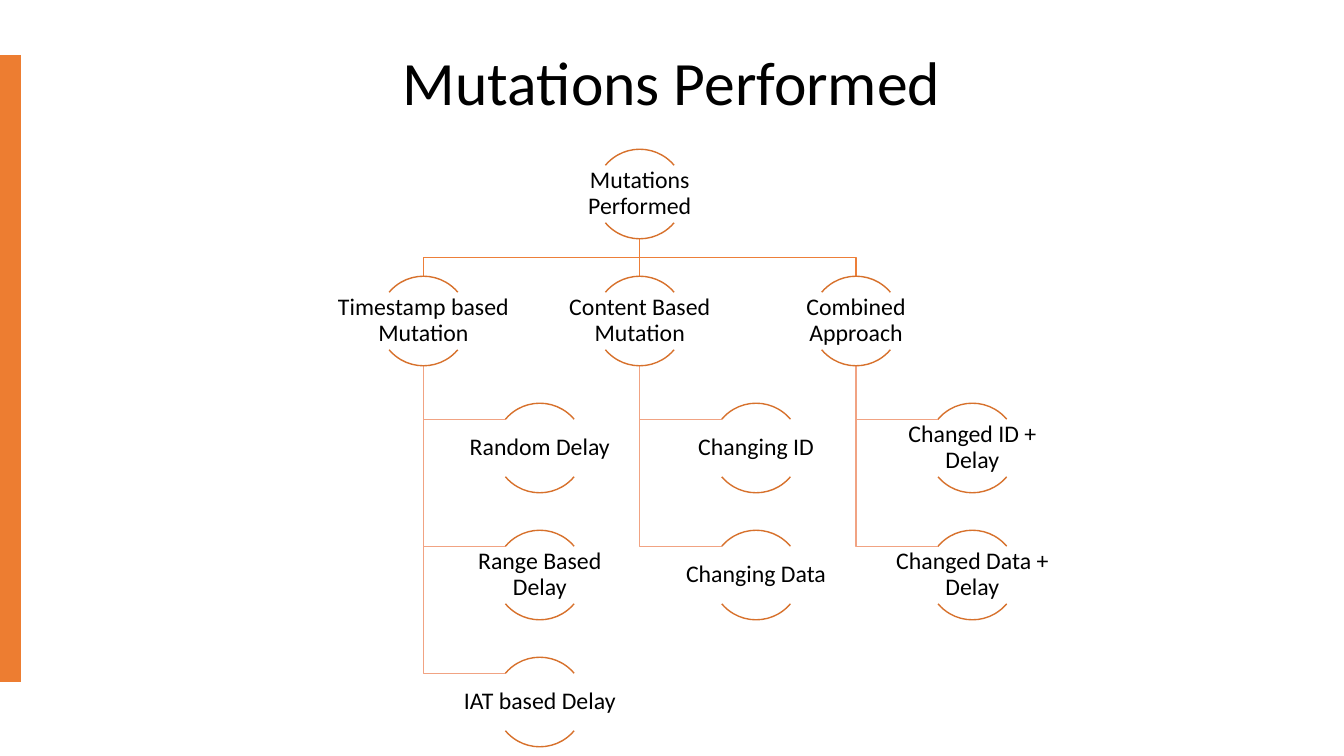
from lxml.etree import SubElement
from pptx import Presentation
from pptx.dml.color import RGBColor as Color
from pptx.enum.shapes import MSO_CONNECTOR as Connector, MSO_SHAPE as Shape
from pptx.enum.text import MSO_ANCHOR as Anchor, PP_ALIGN as Align
from pptx.oxml.ns import qn
from pptx.util import Pt

COLORS = {"bar": "ED7D31", "text": "000000", "arc": "D7712C", "trunk": "ED7F39", "branch": "F1A383"}
FONT = "Calibri"
DIAMETER = 64
LEVEL_TOP, LEVEL_STEP = 106.6, 90.72
COLUMN_LEFT, COLUMN_STEP = 302.5, 154.5
CHILD_SHIFT, BRANCH_LENGTH = 83.1, 58.9
LABEL_WIDTH, LABEL_HEIGHT, LABEL_DROP = 127.4, 41, 11.5

ROOT = "Mutations Performed"
GROUPS = [
    ("Timestamp based Mutation", ["Random Delay", "Range Based Delay", "IAT based Delay"]),
    ("Content Based Mutation", ["Changing ID", "Changing Data"]),
    ("Combined Approach", ["Changed ID + Delay", "Changed Data + Delay"]),
]


class Painter:
    """Draws styled elements on the current slide, with lengths in points."""

    def __init__(self, page):
        self.shapes = page.shapes

    def color(self, name):
        return Color.from_string(COLORS[name])

    def outline(self, shape, name):
        shape.line.color.rgb = self.color(name)
        shape.line.width = Pt(1)

    def bar(self, left, top, width, height):
        bar = self.shapes.add_shape(Shape.RECTANGLE, Pt(left), Pt(top), Pt(width), Pt(height))
        bar.shadow.inherit = False
        bar.fill.solid()
        bar.fill.fore_color.rgb = self.color("bar")
        bar.line.fill.background()

    def text(self, words, left, top, width, height, size, inset):
        box = self.shapes.add_textbox(Pt(left), Pt(top), Pt(width), Pt(height))
        frame = box.text_frame
        frame.word_wrap = True
        frame.vertical_anchor = Anchor.MIDDLE
        frame.margin_left = frame.margin_right = Pt(inset)
        frame.margin_top = frame.margin_bottom = Pt(inset)
        para = frame.paragraphs[0]
        para.alignment = Align.CENTER
        para.line_spacing = 0.9
        span = para.add_run()
        span.text = words
        span.font.name = FONT
        span.font.size = Pt(size)
        span.font.color.rgb = self.color("text")

    def line(self, start, end, name):
        line = self.shapes.add_connector(Connector.STRAIGHT, *map(Pt, start + end))
        self.outline(line, name)
        SubElement(line._element.spPr, qn("a:effectLst"))

    def elbow(self, points, name):
        start, *rest = [(Pt(x), Pt(y)) for x, y in points]
        builder = self.shapes.build_freeform(*start)
        builder.add_line_segments(rest, close=False)
        elbow = builder.convert_to_shape()
        elbow.shadow.inherit = False
        elbow.fill.background()
        self.outline(elbow, name)

    def node(self, words, center, top):
        for start, end in ((132, 192), (24, 84)):
            arc = self.shapes.add_shape(
                Shape.ARC, Pt(center - DIAMETER / 2), Pt(top), Pt(DIAMETER), Pt(DIAMETER))
            arc.adjustments[0], arc.adjustments[1] = start, end
            arc.shadow.inherit = False
            arc.fill.background()
            self.outline(arc, "arc")
        self.text(words, center - LABEL_WIDTH / 2, top + LABEL_DROP,
                  LABEL_WIDTH, LABEL_HEIGHT, 17, 0.8)


def level_top(level):
    return LEVEL_TOP + level * LEVEL_STEP


def column_center(column):
    return COLUMN_LEFT + column * COLUMN_STEP


def draw_links(painter):
    root_center = column_center(1)
    root_bottom, group_top = level_top(0) + DIAMETER, level_top(1)
    middle = (root_bottom + group_top) / 2
    group_bottom = group_top + DIAMETER
    for column, (_, children) in enumerate(GROUPS):
        center = column_center(column)
        for level in range(2, len(children) + 2):
            branch_y = level_top(level) + LABEL_DROP
            painter.elbow([(center, group_bottom), (center, branch_y),
                           (center + BRANCH_LENGTH, branch_y)], "branch")
        if center == root_center:
            painter.line((center, root_bottom), (center, group_top), "trunk")
        else:
            painter.elbow([(root_center, root_bottom), (root_center, middle),
                           (center, middle), (center, group_top)], "trunk")


def draw_nodes(painter):
    painter.node(ROOT, column_center(1), level_top(0))
    for column, (group, children) in enumerate(GROUPS):
        center = column_center(column)
        painter.node(group, center, level_top(1))
        for level, child in enumerate(children, 2):
            painter.node(child, center + CHILD_SHIFT, level_top(level))


def main():
    deck = Presentation()
    deck.slide_width, deck.slide_height = Pt(960), Pt(540)
    page = deck.slides.add_slide(deck.slide_layouts[6])
    painter = Painter(page)
    painter.bar(0, 39.3, 15, 447.8)
    painter.text("Mutations Performed", 66, 28.8, 828, 64, 44, 3.6)
    draw_links(painter)
    draw_nodes(painter)
    deck.save("out.pptx")


if __name__ == "__main__":
    main()
